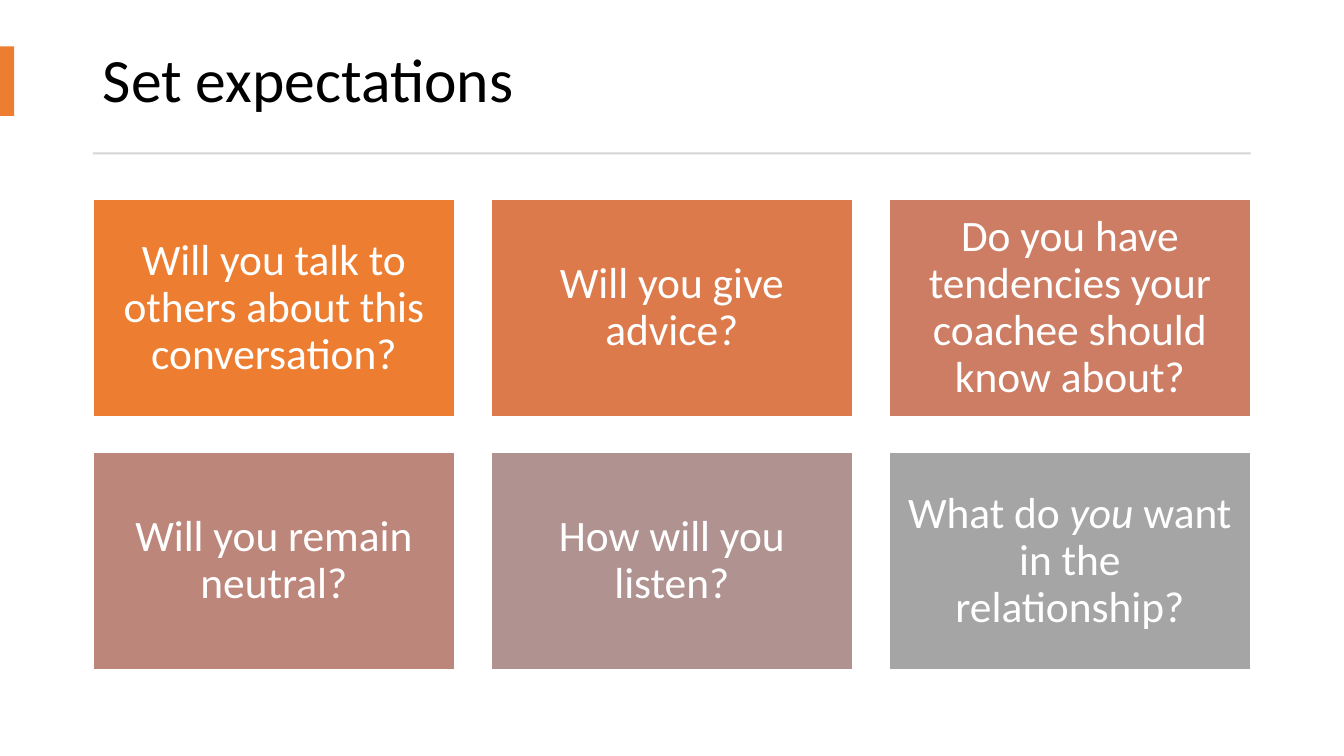
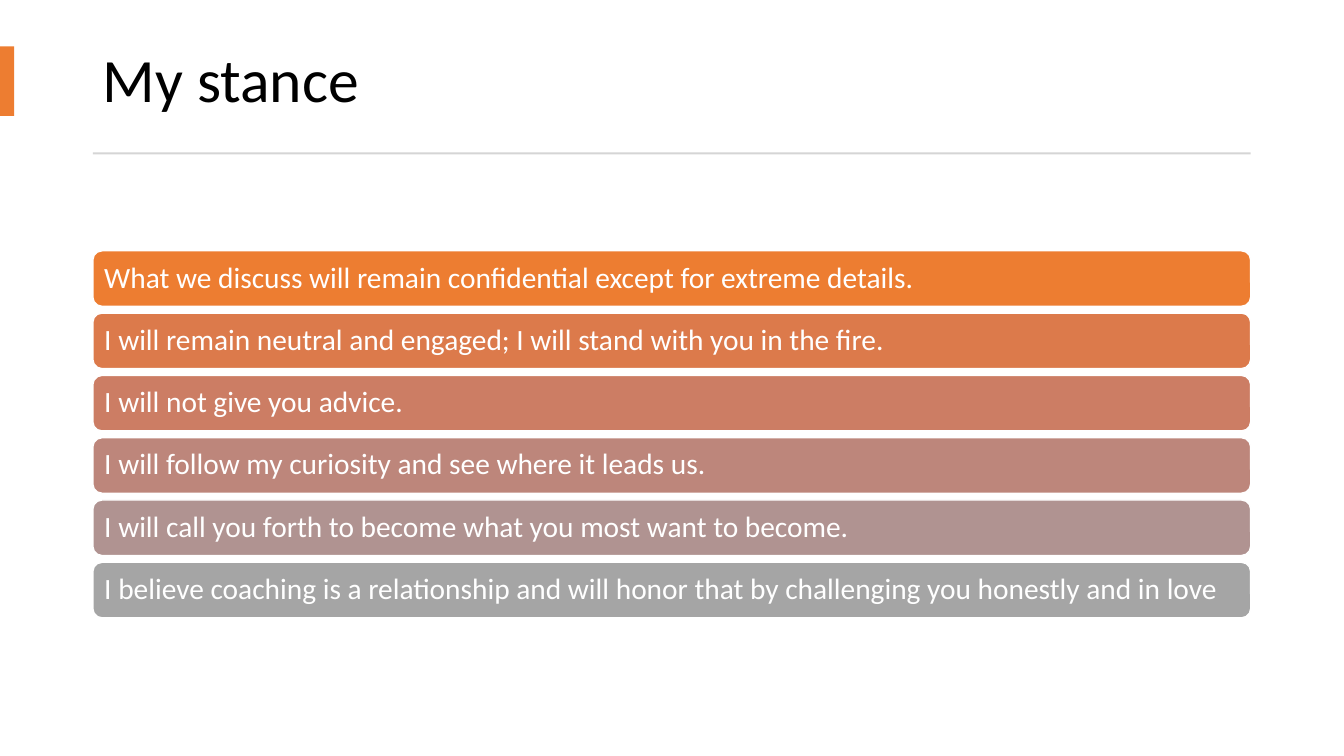
from dataclasses import dataclass

import pptx
import pptx.dml.color
import pptx.enum.shapes
import pptx.enum.text
import pptx.util

Cm = pptx.util.Cm
Pt = pptx.util.Pt
SHAPE = pptx.enum.shapes.MSO_SHAPE
ALIGN = pptx.enum.text.PP_ALIGN


@dataclass(frozen=True)
class Theme:
    font: str = "Calibri"
    title_size: int = 44
    card_size: int = 31
    bar_size: int = 21
    line_spacing: float = 0.9
    ink: str = "000000"
    paper: str = "FFFFFF"
    accent: str = "ED7D31"
    rule: str = "D5D5D5"
    ramp: tuple = ("ED7D31", "DC7A4B", "CC7D64", "BD867B", "B09391", "A5A5A5")


@dataclass(frozen=True)
class Box:
    """A region of the slide, in centimetres."""
    left: float
    top: float
    width: float
    height: float

    def lengths(self):
        return [Cm(side) for side in (self.left, self.top, self.width, self.height)]

    def cells(self, columns, rows, gap):
        """Equal cells with the same gap both ways, row by row."""
        width = (self.width - gap * (columns - 1)) / columns
        height = (self.height - gap * (rows - 1)) / rows
        return [Box(self.left + column * (width + gap), self.top + row * (height + gap), width, height)
                for row in range(rows) for column in range(columns)]


THEME = Theme()
HEADER = Box(2.34, 0.69, 29.18, 3.2)
CARD_GRID = Box(2.34, 5.03, 29.18, 11.85)
BAR_STACK = Box(2.34, 6.32, 29.18, 9.25)

EXPECTATIONS = [
    ["Will you talk to others about this conversation?"],
    ["Will you give advice?"],
    ["Do you have tendencies your coachee should know about?"],
    ["Will you remain neutral?"],
    ["How will you listen?"],
    ["What do ", ("you", True), " want in the relationship?"],
]
STANCES = [
    ["What we discuss will remain confidential except for extreme details."],
    ["I will remain neutral and engaged; I will stand with you in the fire."],
    ["I will not give you advice."],
    ["I will follow my curiosity and see where it leads us."],
    ["I will call you forth to become what you most want to become."],
    ["I believe coaching is a relationship and will honor that by challenging you honestly and in love"],
]


def rgb(value):
    return pptx.dml.color.RGBColor.from_string(value)


def write(shape, pieces, size, color, inset, align=ALIGN.LEFT):
    """Write one paragraph; a piece is a text, or a (text, italic) pair."""
    frame = shape.text_frame
    frame.word_wrap = True
    frame.vertical_anchor = pptx.enum.text.MSO_ANCHOR.MIDDLE
    frame.margin_left = frame.margin_right = Cm(inset)
    frame.margin_top = frame.margin_bottom = Cm(inset)
    paragraph = frame.paragraphs[0]
    paragraph.alignment = align
    paragraph.line_spacing = THEME.line_spacing
    for piece in pieces:
        text, italic = (piece, False) if isinstance(piece, str) else piece
        run = paragraph.add_run()
        run.text = text
        run.font.name = THEME.font
        run.font.size = Pt(size)
        run.font.italic = italic
        run.font.color.rgb = rgb(color)


def add_panel(slide, box, fill, outline=None, kind=SHAPE.RECTANGLE):
    panel = slide.shapes.add_shape(kind, *box.lengths())
    panel.shadow.inherit = False
    panel.fill.solid()
    panel.fill.fore_color.rgb = rgb(fill)
    if outline:
        panel.line.color.rgb = rgb(outline)
        panel.line.width = Pt(1)
    else:
        panel.line.fill.background()
    return panel


def add_header(slide, box, title):
    """Title, accent tab at the slide's edge and rule along the bottom of the box."""
    title_box = Box(box.left, box.top, box.width, 2.8)
    write(slide.shapes.add_textbox(*title_box.lengths()), [title],
          THEME.title_size, THEME.ink, 0.25)
    add_panel(slide, Box(0, box.top + 0.48, 0.36, 1.75), THEME.accent)
    add_panel(slide, Box(box.left, box.top + box.height - 0.05, box.width, 0.05), THEME.rule)


def add_cards(slide, box, questions):
    for cell, fill, question in zip(box.cells(3, 2, 0.91), THEME.ramp, questions):
        card = add_panel(slide, cell, fill, THEME.paper)
        write(card, question, THEME.card_size, THEME.paper, 0.33, ALIGN.CENTER)


def add_bars(slide, box, statements):
    for cell, fill, statement in zip(box.cells(1, len(statements), 0.17), THEME.ramp, statements):
        bar = add_panel(slide, cell, fill, THEME.paper, SHAPE.ROUNDED_RECTANGLE)
        write(bar, statement, THEME.bar_size, THEME.paper, 0.22)


def main():
    deck = pptx.Presentation()
    deck.slide_width, deck.slide_height = Cm(33.87), Cm(19.05)
    blank = deck.slide_layouts[6]
    for title, add_body, box, items in (
        ("Set expectations", add_cards, CARD_GRID, EXPECTATIONS),
        ("My stance", add_bars, BAR_STACK, STANCES),
    ):
        slide = deck.slides.add_slide(blank)
        add_header(slide, HEADER, title)
        add_body(slide, box, items)
    deck.save("out.pptx")


if __name__ == "__main__":
    main()
